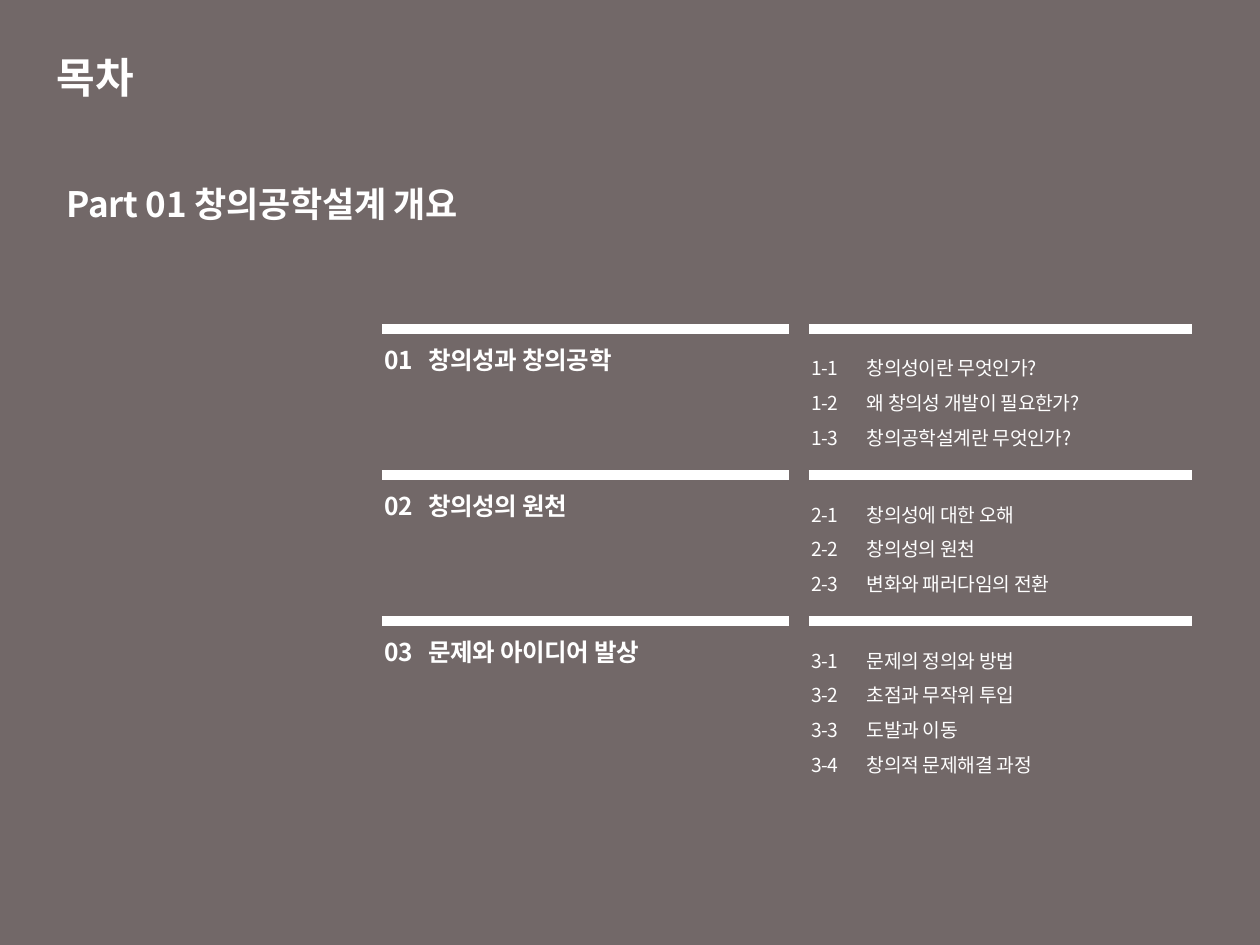
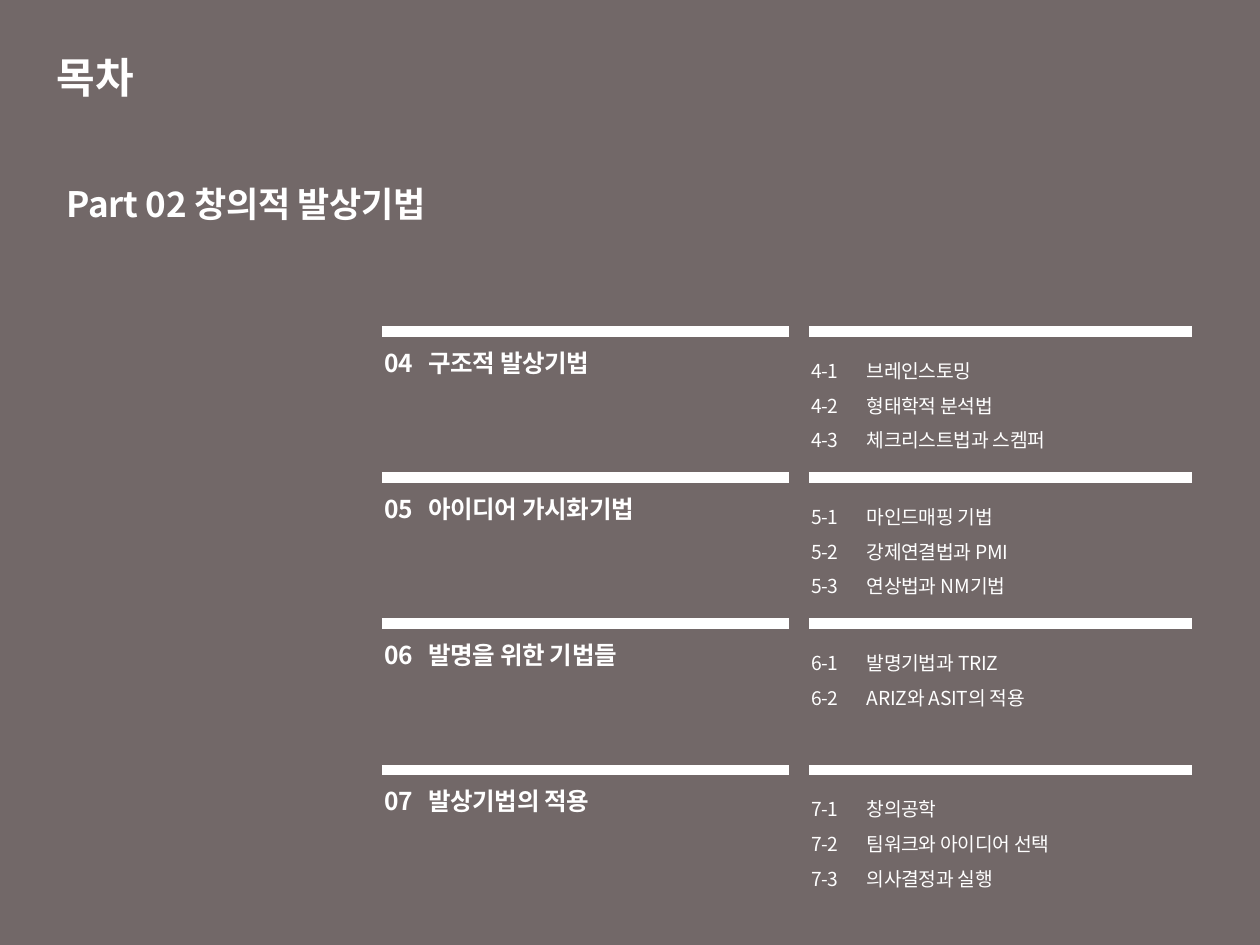
"""Build two table-of-contents slides, one for each part of a creative engineering design course."""
from lxml.etree import SubElement
from pptx import Presentation
from pptx.dml.color import RGBColor
from pptx.enum.shapes import MSO_CONNECTOR as Connector
from pptx.enum.text import MSO_ANCHOR as Anchor, MSO_AUTO_SIZE as AutoSize, PP_ALIGN as Align
from pptx.oxml.ns import qn
from pptx.util import Inches, Pt

FONT = "Noto Sans CJK KR"
COLORS = {"background": "726868", "text": "FFFFFF"}
WHITE = RGBColor.from_string(COLORS["text"])

FORMATS = {
    "title": {"size": Pt(24), "bold": True},
    "part": {"size": Pt(20), "bold": True},
    "chapter": {"size": Pt(14), "bold": True},
    "section": {"size": Pt(11), "bold": False},
}
COLUMNS = {
    "chapter": {"left": 3.03, "right": 6.26, "tab": 0.35, "spacing": 1.0},
    "section": {"left": 6.42, "right": 9.46, "tab": 0.44, "spacing": 1.5},
}
TEXT_OUTDENT, TEXT_WIDTH, TEXT_DROP = 0.08, 3.62, 0.08
ROW_HEIGHT, TEXT_HEIGHTS = 1.16, {"chapter": 0.39, "section": 0.71}

PARTS = [
    {"heading": "Part 01 창의공학설계 개요", "top": 2.61, "chapters": [
        ("창의성과 창의공학",
         ["창의성이란 무엇인가?", "왜 창의성 개발이 필요한가?", "창의공학설계란 무엇인가?"]),
        ("창의성의 원천",
         ["창의성에 대한 오해", "창의성의 원천", "변화와 패러다임의 전환"]),
        ("문제와 아이디어 발상",
         ["문제의 정의와 방법", "초점과 무작위 투입", "도발과 이동", "창의적 문제해결 과정"]),
    ]},
    {"heading": "Part 02 창의적 발상기법", "top": 2.63, "chapters": [
        ("구조적 발상기법",
         ["브레인스토밍", "형태학적 분석법", "체크리스트법과 스켐퍼"]),
        ("아이디어 가시화기법",
         ["마인드매핑 기법", "강제연결법과 PMI", "연상법과 NM기법"]),
        ("발명을 위한 기법들",
         ["발명기법과 TRIZ", "ARIZ와 ASIT의 적용"]),
        ("발상기법의 적용",
         ["창의공학", "팀워크와 아이디어 선택", "의사결정과 실행"]),
    ]},
]


def place(shape, left, top, width, height):
    """Move a placeholder to a position in inches."""
    for name, value in zip(("left", "top", "width", "height"), (left, top, width, height)):
        setattr(shape, name, Inches(value))


def write(shape, lines, style, spacing=1.0, tab=None, anchor=Anchor.TOP):
    """Fill a shape with left-aligned lines in one of the named formats."""
    frame = shape.text_frame
    frame.word_wrap = True
    frame.auto_size = AutoSize.NONE
    frame.vertical_anchor = anchor
    for index, line in enumerate(lines):
        paragraph = frame.add_paragraph() if index else frame.paragraphs[0]
        if tab:
            tabs = SubElement(paragraph._p.get_or_add_pPr(), qn("a:tabLst"))
            SubElement(tabs, qn("a:tab"), pos=str(Inches(tab)), algn="l")
        layout = {"alignment": Align.LEFT, "line_spacing": spacing, "space_before": Pt(0)}
        for name, value in layout.items():
            setattr(paragraph, name, value)
        run = paragraph.add_run()
        run.text = line
        for name, value in {"name": FONT, **FORMATS[style]}.items():
            setattr(run.font, name, value)
        run.font.color.rgb = WHITE
        properties = run._r.get_or_add_rPr()
        SubElement(properties, qn("a:ea"), typeface=FONT)
        if style != "title":
            properties.set("spc", "-20")


presentation = Presentation()
presentation.slide_width, presentation.slide_height = Inches(10), Inches(7.5)
background = presentation.slide_master.background.fill
background.solid()
background.fore_color.rgb = RGBColor.from_string(COLORS["background"])

chapter_number = 0
for part in PARTS:
    slide = presentation.slides.add_slide(presentation.slide_layouts[0])
    title, part_heading = slide.placeholders
    place(title, 0.35, 0.29, 3.15, 0.63)
    write(title, ["목차"], "title", anchor=Anchor.MIDDLE)
    place(part_heading, 0.43, 1.23, 4.09, 0.79)
    write(part_heading, [part["heading"]], "part", spacing=1.5)

    for row, (chapter, sections) in enumerate(part["chapters"]):
        chapter_number += 1
        top = part["top"] + row * ROW_HEIGHT
        texts = {
            "chapter": [f"{chapter_number:02}\t{chapter}"],
            "section": [f"{chapter_number}-{number}\t{section}"
                        for number, section in enumerate(sections, 1)],
        }
        for style, column in COLUMNS.items():
            rule = slide.shapes.add_connector(
                Connector.STRAIGHT, Inches(column["left"]), Inches(top),
                Inches(column["right"]), Inches(top))
            rule.line.color.rgb = WHITE
            rule.line.width = Pt(6)
            SubElement(rule._element.spPr, qn("a:effectLst"))
            box = slide.shapes.add_textbox(
                Inches(column["left"] - TEXT_OUTDENT), Inches(top + TEXT_DROP),
                Inches(TEXT_WIDTH), Inches(TEXT_HEIGHTS[style]))
            write(box, texts[style], style, column["spacing"], column["tab"])

presentation.save("out.pptx")
